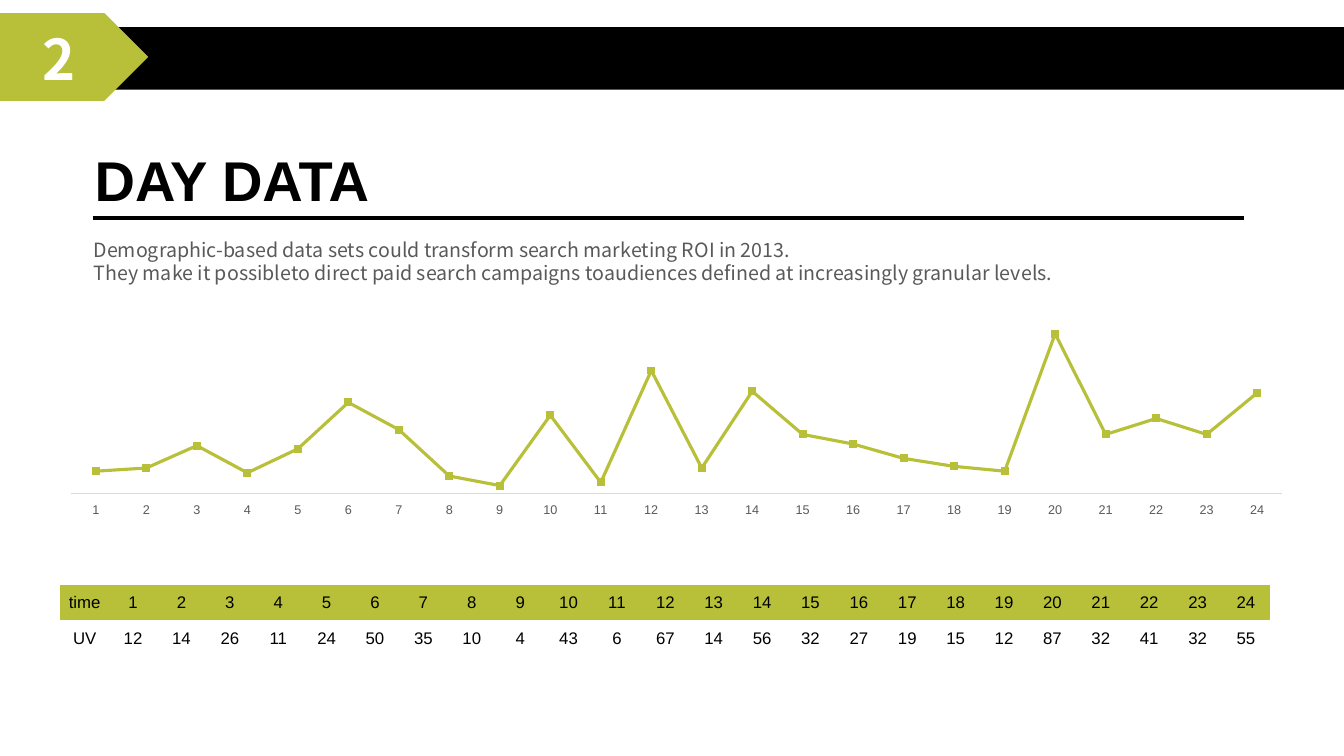
"""Build the day data slide with a line chart and an hourly table."""
from dataclasses import dataclass
from typing import Any

from lxml import etree
from pptx import Presentation
from pptx.chart.data import CategoryChartData
from pptx.dml.color import RGBColor
from pptx.enum.chart import XL_CHART_TYPE, XL_TICK_LABEL_POSITION, XL_TICK_MARK
from pptx.enum.shapes import MSO_CONNECTOR, MSO_SHAPE
from pptx.enum.text import MSO_ANCHOR, MSO_AUTO_SIZE, PP_ALIGN
from pptx.oxml.ns import qn
from pptx.util import Inches, Pt

LINE = XL_CHART_TYPE.LINE
LOW = XL_TICK_LABEL_POSITION.LOW
NO_TICK = XL_TICK_MARK.NONE
STRAIGHT = MSO_CONNECTOR.STRAIGHT
RECT, ARROW = MSO_SHAPE.RECTANGLE, MSO_SHAPE.PENTAGON
MIDDLE = MSO_ANCHOR.MIDDLE
GROW = MSO_AUTO_SIZE.SHAPE_TO_FIT_TEXT
LEFT, CENTER, JUSTIFY = PP_ALIGN.LEFT, PP_ALIGN.CENTER, PP_ALIGN.JUSTIFY

BLACK = RGBColor(0x00, 0x00, 0x00)
WHITE = RGBColor(0xFF, 0xFF, 0xFF)
GREEN = RGBColor(0xB8, 0xC0, 0x39)
GRAY = RGBColor(0x59, 0x59, 0x59)
PALE = RGBColor(0xD9, 0xD9, 0xD9)
SANS, NOTO = "Arial", "Noto Sans CJK SC"
PLAIN = "{2D5ABB26-0587-4C30-8999-92F81FD0307C}"

HOURS = [str(hour) for hour in range(1, 25)]
TREND = [14, 16, 30, 13, 28, 57, 40, 11, 5, 49, 7, 77,
         16, 64, 37, 31, 22, 17, 14, 100, 37, 47, 37, 63]
VISITS = [12, 14, 26, 11, 24, 50, 35, 10, 4, 43, 6, 67,
          14, 56, 32, 27, 19, 15, 12, 87, 32, 41, 32, 55]


@dataclass
class Block:
    kind: MSO_SHAPE
    box: tuple[float, ...]
    fill: RGBColor


@dataclass
class Label:
    lines: list[str]
    box: tuple[float, ...]
    color: RGBColor
    font: dict[str, Any]
    align: PP_ALIGN = LEFT


@dataclass
class Row:
    head: str
    items: list[Any]
    fill: RGBColor


BLOCKS = [
    Block(RECT, (0, 0.27, 13.33, 0.62), BLACK),
    Block(ARROW, (0, 0.13, 1.47, 0.87), GREEN),
]
LABELS = [
    Label(["2"], (0.32, 0.19, 0.55, 0.77), WHITE,
          {"name": NOTO, "size": Pt(40), "bold": True}),
    Label(["DAY DATA"], (0.84, 1.39, 2.99, 0.77), BLACK,
          {"name": SANS, "size": Pt(40), "bold": True}),
    Label(["Demographic-based data sets could transform search marketing ROI in 2013.",
           "They make it possibleto direct paid search campaigns toaudiences "
           "defined at increasingly granular levels."],
          (0.83, 2.31, 11.74, 0.57), GRAY, {"name": NOTO, "size": Pt(14)}, JUSTIFY),
]
ROWS = [Row("time", HOURS, GREEN), Row("UV", VISITS, WHITE)]


def apply(target: Any, values: dict[str, Any]) -> None:
    """Set each named format value on the target."""
    for name, value in values.items():
        setattr(target, name, value)


def set_font(font: Any, color: RGBColor, values: dict[str, Any]) -> None:
    """Set the colour and format of a font."""
    apply(font, values)
    font.color.rgb = color


def add_block(slide: Any, block: Block) -> None:
    """Draw one filled header shape."""
    shape = slide.shapes.add_shape(block.kind, *map(Inches, block.box))
    shape.shadow.inherit = False
    shape.fill.solid()
    shape.fill.fore_color.rgb = block.fill
    shape.line.fill.background()


def add_label(slide: Any, label: Label) -> None:
    """Draw one text box."""
    frame = slide.shapes.add_textbox(*map(Inches, label.box)).text_frame
    apply(frame, {"word_wrap": True, "auto_size": GROW, "text": "\n".join(label.lines)})
    for para in frame.paragraphs:
        para.alignment = label.align
        set_font(para.runs[0].font, label.color, label.font)


def add_rule(slide: Any) -> None:
    """Draw the line below the title."""
    rule = slide.shapes.add_connector(STRAIGHT, *map(Inches, (0.92, 2.16, 12.34, 2.16)))
    rule.line.color.rgb = BLACK
    rule.line.width = Pt(3)
    etree.SubElement(rule.element.spPr, qn("a:effectLst"))


def add_plot(slide: Any) -> None:
    """Draw the line chart."""
    data = CategoryChartData()
    data.categories = HOURS
    data.add_series("Series 1", TREND)
    box = map(Inches, (0.45, 3.04, 12.52, 2.1))
    chart = slide.shapes.add_chart(LINE, *box, data).chart
    apply(chart, {"has_legend": False, "has_title": False})
    set_font(chart.font, BLACK, {"name": SANS, "size": Pt(10)})
    plot = chart.plots[0]
    plot.vary_by_categories = False
    trend = plot.series[0]
    trend.smooth = False
    trend.marker.style = None
    trend.format.line.color.rgb = GREEN
    trend.format.line.width = Pt(2.25)
    apply(chart.value_axis, {"minimum_scale": 0, "maximum_scale": 100,
                             "has_major_gridlines": False, "visible": False})
    axis = chart.category_axis
    apply(axis, {"major_tick_mark": NO_TICK, "minor_tick_mark": NO_TICK,
                 "tick_label_position": LOW})
    set_font(axis.tick_labels.font, GRAY, {"name": SANS, "size": Pt(9)})
    axis.format.line.color.rgb = PALE
    axis.format.line.width = Pt(0.75)
    set_area(chart)


def set_area(chart: Any) -> None:
    """Fix the inner plot area as shares of the chart."""
    area = next(chart.element.iter(qn("c:plotArea")))
    for old in area.findall(qn("c:layout")):
        area.remove(old)
    layout = etree.Element(qn("c:layout"))
    manual = etree.SubElement(layout, qn("c:manualLayout"))
    parts = {"layoutTarget": "inner", "xMode": "edge", "yMode": "edge",
             "x": 0.02, "y": 0.13, "w": 0.96, "h": 0.76}
    for name, value in parts.items():
        etree.SubElement(manual, qn(f"c:{name}")).set("val", str(value))
    area.insert(0, layout)


def add_grid(slide: Any) -> None:
    """Draw the table of hourly visits."""
    count = len(HOURS) + 1
    box = map(Inches, (0.6, 5.8, 12, 0.71))
    frame = slide.shapes.add_table(len(ROWS), count, *box)
    next(frame.element.iter(qn("a:tableStyleId"))).text = PLAIN
    table = frame.table
    apply(table, {"first_row": False, "horz_banding": False})
    edge = Inches(0.01)
    for i, row in enumerate(ROWS):
        for j, item in enumerate([row.head, *row.items]):
            cell = table.cell(i, j)
            apply(cell, {"text": str(item), "vertical_anchor": MIDDLE,
                         "margin_left": edge, "margin_top": edge,
                         "margin_right": edge, "margin_bottom": 0})
            cell.fill.solid()
            cell.fill.fore_color.rgb = row.fill
            para = cell.text_frame.paragraphs[0]
            para.alignment = CENTER
            set_font(para.runs[0].font, BLACK, {"name": SANS, "size": Pt(12)})


def main() -> None:
    """Build and save the slide."""
    deck = Presentation()
    apply(deck, {"slide_width": Inches(13.33), "slide_height": Inches(7.5)})
    slide = deck.slides.add_slide(deck.slide_layouts[6])
    for block in BLOCKS:
        add_block(slide, block)
    add_plot(slide)
    add_grid(slide)
    for label in LABELS:
        add_label(slide, label)
    add_rule(slide)
    deck.save("out.pptx")


if __name__ == "__main__":
    main()
